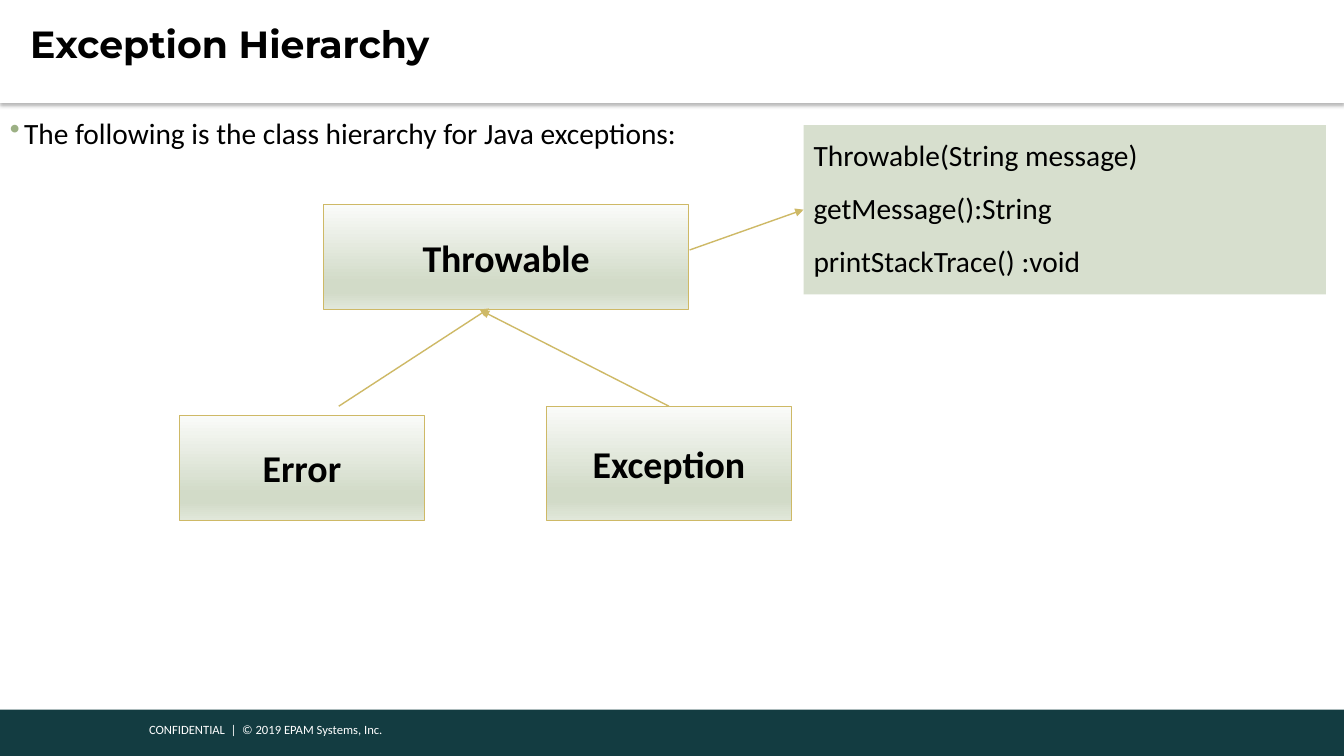
from lxml.etree import SubElement
from pptx import Presentation
from pptx.dml.color import RGBColor
from pptx.enum.shapes import MSO_CONNECTOR as Link, MSO_SHAPE as Preset
from pptx.enum.text import MSO_ANCHOR as Anchor, PP_ALIGN as Align
from pptx.oxml.ns import qn
from pptx.util import Inches, Pt

BLACK, WHITE, TEAL, GOLD = "000000", "FFFFFF", "133C41", "CEB966"
SAGE, BULLET_GREEN = "D7DFCE", "9CB084"
NODE_STOPS = [(0, "FAFBF9"), (74, "D2DBC8"), (83, "D2DBC8"), (100, "E1E7DA")]


def color(value):
    return RGBColor.from_string(value)


def add_xml(parent, tag, **attributes):
    return SubElement(parent, qn(tag), attributes)


class SlideBuilder:
    """Draws styled elements on one slide."""

    def __init__(self, slide, body_font="Calibri", title_font="Montserrat"):
        self.slide = slide
        self.body_font = body_font
        self.title_font = title_font

    def add_lines(self, holder, lines, size, ink=BLACK, bold=False, font=None,
                  align=Align.LEFT, anchor=Anchor.TOP, spacing=None, after=None,
                  bullet=False, margins=(0.1, 0.05, 0.1, 0.05)):
        frame = holder.text_frame
        frame.word_wrap = True
        frame.vertical_anchor = anchor
        (frame.margin_left, frame.margin_top,
         frame.margin_right, frame.margin_bottom) = map(Inches, margins)
        for index, line in enumerate(lines):
            paragraph = frame.add_paragraph() if index else frame.paragraphs[0]
            paragraph.alignment = align
            paragraph.line_spacing = spacing
            paragraph.space_after = after
            if bullet:
                self.bullet(paragraph)
            run = paragraph.add_run()
            run.text = line
            run.font.name = font or self.body_font
            run.font.size = Pt(size)
            run.font.bold = bold
            run.font.color.rgb = color(ink)

    def bullet(self, paragraph):
        properties = paragraph._p.get_or_add_pPr()
        properties.set("marL", str(Inches(0.14)))
        properties.set("indent", str(Inches(-0.14)))
        tint = add_xml(properties, "a:buClr")
        add_xml(tint, "a:srgbClr", val=BULLET_GREEN)
        add_xml(properties, "a:buChar", char="•")

    def text(self, left, top, width, height, lines, size, **style):
        box = self.slide.shapes.add_textbox(*map(Inches, (left, top, width, height)))
        self.add_lines(box, lines, size, **style)

    def panel(self, left, top, width, height, fill):
        panel = self.slide.shapes.add_shape(
            Preset.RECTANGLE, *map(Inches, (left, top, width, height)))
        panel.shadow.inherit = False
        panel.fill.solid()
        panel.fill.fore_color.rgb = color(fill)
        panel.line.fill.background()
        return panel

    def title(self, left, top, width, height, heading):
        band = self.panel(left, top, width, height, WHITE)
        effects = band._element.spPr.find(qn("a:effectLst"))
        shadow = add_xml(effects, "a:outerShdw", blurRad=str(Pt(3.1)),
                         dist=str(Pt(2)), dir="5400000", rotWithShape="0")
        shade = add_xml(shadow, "a:srgbClr", val=BLACK)
        add_xml(shade, "a:alpha", val="30000")
        self.add_lines(band, [heading], 27, bold=True, font=self.title_font,
                       anchor=Anchor.MIDDLE, spacing=Pt(21.3),
                       margins=(0.3, 0.04, 0.07, 0.04))

    def node(self, left, top, width, height, label):
        node = self.panel(left, top, width, height, WHITE)
        node.fill.gradient()
        gradient = node._element.spPr.find(qn("a:gradFill"))
        stops = gradient.find(qn("a:gsLst"))
        for stop in list(stops):
            stops.remove(stop)
        for position, tint in NODE_STOPS:
            stop = add_xml(stops, "a:gs", pos=str(position * 1000))
            add_xml(stop, "a:srgbClr", val=tint)
        gradient.find(qn("a:lin")).set("ang", "5400000")
        node.line.color.rgb = color(GOLD)
        node.line.width = Pt(0.5)
        self.add_lines(node, [label], 27, bold=True,
                       align=Align.CENTER, anchor=Anchor.MIDDLE)
        return node

    def arrow(self, start, end):
        arrow = self.slide.shapes.add_connector(Link.STRAIGHT, *map(Inches, start + end))
        arrow.line.color.rgb = color(GOLD)
        arrow.line.width = Pt(1)
        properties = arrow._element.spPr
        add_xml(properties.find(qn("a:ln")), "a:tailEnd", type="triangle")
        add_xml(properties, "a:effectLst")
        return arrow


def main():
    deck = Presentation()
    deck.slide_width, deck.slide_height = Inches(13.33), Inches(7.5)
    page = SlideBuilder(deck.slides.add_slide(deck.slide_layouts[6]))

    page.panel(0, 7.04, 13.33, 0.46, TEAL)
    page.text(1.38, 7.11, 3.53, 0.26,
              ["CONFIDENTIAL  |  © 2019 EPAM Systems, Inc."], 9, ink=WHITE)
    page.title(0, 0, 13.33, 1.02, "Exception Hierarchy")
    page.text(0, 1.02, 7.45, 0.64,
              ["The following is the class hierarchy for Java exceptions:"],
              21, spacing=1.2, after=Pt(7.5), bullet=True)

    page.node(3.21, 2.03, 3.62, 1.04, "Throwable")
    page.node(1.78, 4.12, 2.43, 1.04, "Error")
    exception = page.node(5.42, 4.03, 2.43, 1.13, "Exception")
    page.arrow((3.36, 4.03), (4.85, 3.06))
    page.arrow((6.63, 4.03), (4.77, 3.08)).begin_connect(exception, 0)

    methods = page.panel(7.97, 1.24, 5.18, 1.68, SAGE)
    page.add_lines(methods, ["Throwable(String message)", "getMessage():String",
                             "printStackTrace() :void"],
                   21, spacing=1.2, after=Pt(7.5))
    page.arrow((6.84, 2.48), (7.97, 2.08)).end_connect(methods, 1)

    deck.save("out.pptx")


if __name__ == "__main__":
    main()
